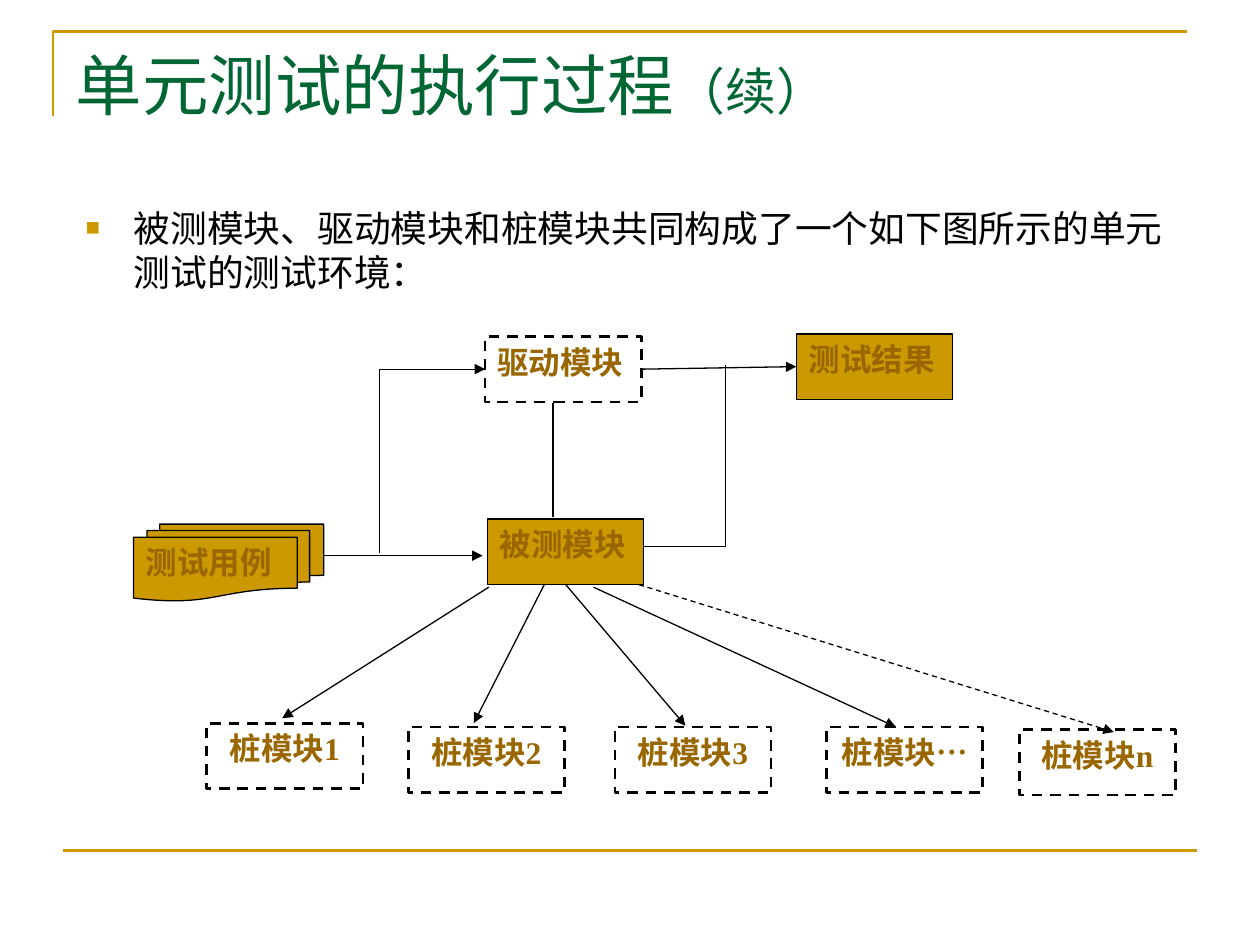
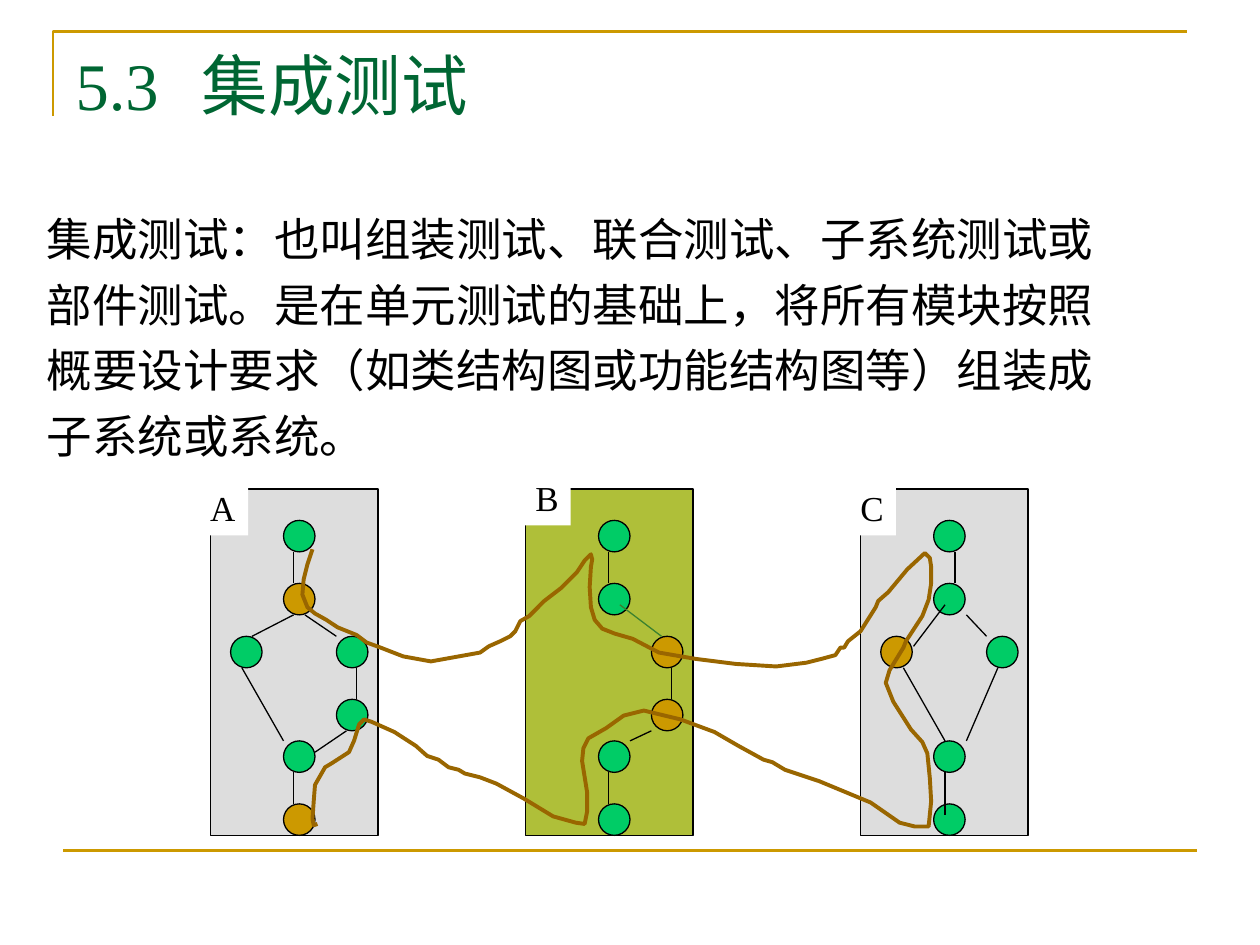
from lxml import etree
from pptx import Presentation
from pptx.dml.color import RGBColor
from pptx.enum.dml import MSO_LINE
from pptx.enum.shapes import MSO_CONNECTOR, MSO_SHAPE
from pptx.enum.text import MSO_ANCHOR, MSO_AUTO_SIZE, PP_ALIGN
from pptx.oxml.ns import qn
from pptx.util import Pt

PX = 9144
DASH = MSO_LINE.DASH
RECT, OVAL = MSO_SHAPE.RECTANGLE, MSO_SHAPE.OVAL
STACK = MSO_SHAPE.FLOWCHART_MULTIDOCUMENT
STRAIGHT = MSO_CONNECTOR.STRAIGHT
TOP, NOFIT = MSO_ANCHOR.TOP, MSO_AUTO_SIZE.NONE
LEFT, MID, JUST = PP_ALIGN.LEFT, PP_ALIGN.CENTER, PP_ALIGN.JUSTIFY
SERIF, SANS = "Times New Roman", "Arial"
COLORS = {"gold": "CC9900", "title": "006633", "black": "000000",
          "brown": "996600", "white": "FFFFFF", "gray": "DDDDDD",
          "olive": "AFBF39", "green": "00CC66", "moss": "3B812F"}

TITLE_BOX = (50, 30, 900, 125)
CORNER = [(42, 92), (42, 25), (942, 25)]
FOOT = (50, 675, 950, 675)

UNIT = {
    "title": [("单元测试的执行过程", 38), ("（续）", 29)],
    "body": "被测模块、驱动模块和桩模块共同构成了一个如下图所示的单元测试的测试环境：",
    "box": (58, 158, 898, 108),
}
BOX_W, BOX_H = 124, 52
CASES = ("测试用例", 106, 416, 151, 61)
SOLID = [("被测模块", 387, 412), ("测试结果", 632, 265)]
DRIVER = ("驱动模块", 385, 267)
STUBS = [("桩模块1", 164, 574), ("桩模块2", 324, 577), ("桩模块3", 488, 577),
         ("桩模块…", 656, 577), ("桩模块n", 809, 579)]
ARROWS = [(257, 441, 383, 441), (509, 290, 633, 290), (301, 293, 386, 293),
          (388, 466, 224, 570), (432, 464, 376, 574), (450, 466, 544, 576),
          (471, 466, 711, 577)]
FAINT = (507, 464, 884, 581)
PLAIN = [(439, 410, 439, 320), (301, 439, 301, 293),
         (511, 434, 576, 434), (576, 434, 576, 290)]

JOINT = {
    "title": [("5.3\t集成测试", 38)],
    "body": "集成测试：也叫组装测试、联合测试、子系统测试或部件测试。是在单元测试的基础上，"
            "将所有模块按照概要设计要求（如类结构图或功能结构图等）组装成子系统或系统。",
    "box": (27, 154, 863, 236),
}
PANEL_Y, PANEL_W, PANEL_H, DOT = 388, 133, 275, 25
COLS = [16, 58, 100]
ROWS = [413, 463, 505, 555, 588, 638]
PANELS = [
    {"x": 167, "fill": "gray", "label": ("A", 157, 381, 40),
     "green": [(1, 0), (0, 2), (2, 2), (2, 3), (1, 4)],
     "gold": [(1, 1), (1, 5)],
     "edges": [(66, 438, 66, 463), (75, 488, 100, 505), (66, 488, 33, 505),
               (116, 530, 116, 555), (25, 530, 58, 588), (108, 580, 83, 597),
               (66, 613, 66, 638)]},
    {"x": 417, "fill": "olive", "label": ("B", 415, 373, 38),
     "green": [(1, 0), (1, 1), (1, 4), (1, 5)],
     "gold": [(2, 2), (2, 3)],
     "edges": [(66, 438, 66, 463), (75, 480, 108, 505, "moss"),
               (116, 530, 116, 555), (100, 580, 83, 588), (66, 613, 66, 638)]},
    {"x": 683, "fill": "gray", "label": ("C", 673, 381, 38),
     "green": [(1, 0), (1, 1), (2, 2), (1, 4), (1, 5)],
     "gold": [(0, 2)],
     "edges": [(75, 438, 75, 463), (84, 488, 100, 505), (67, 480, 42, 513),
               (109, 530, 84, 588), (34, 530, 67, 588), (67, 613, 67, 647)]},
]
TRACE = [
    (248, 436), (244, 448), (241, 460), (240, 472), (244, 482), (250, 487),
    (259, 492), (268, 498), (283, 504), (291, 510), (302, 514), (320, 521),
    (342, 525), (381, 518), (388, 513), (397, 509), (405, 505), (409, 501),
    (413, 493), (420, 489), (432, 477), (445, 467), (458, 454), (464, 445),
    (469, 440), (470, 444), (469, 450), (468, 466), (469, 482), (472, 492),
    (478, 499), (488, 503), (502, 507), (523, 518), (552, 523), (584, 527),
    (616, 529), (640, 526), (652, 523), (663, 520), (667, 514), (670, 514),
    (673, 509), (683, 501), (695, 482), (697, 477), (705, 470), (720, 452),
    (734, 439), (738, 443), (739, 450), (739, 463), (737, 476), (732, 489),
    (719, 509), (717, 514), (706, 532), (703, 542), (709, 557), (723, 579),
    (732, 589), (736, 598), (738, 618), (739, 636), (737, 656), (726, 656),
    (714, 653), (691, 637), (650, 620), (623, 611), (613, 605), (606, 603),
    (586, 592), (567, 581), (540, 571), (511, 564), (495, 568), (481, 578),
    (467, 586), (463, 594), (462, 604), (466, 629), (466, 644), (464, 654),
    (457, 653), (439, 648), (416, 634), (394, 622), (381, 617), (369, 614),
    (364, 611), (356, 609), (348, 603), (339, 600), (330, 592), (313, 581),
    (295, 573), (289, 571), (285, 575), (281, 588), (277, 597), (263, 606),
    (258, 609), (250, 623), (249, 636), (248, 650), (249, 655), (252, 654),
]


def px(*vals):
    return [v * PX for v in vals]


def tint(name):
    return RGBColor.from_string(COLORS[name])


def stroke(line, color, width, dash=None):
    line.color.rgb = tint(color)
    line.width = Pt(width)
    if dash:
        line.dash_style = dash


def write(shape, runs, font=SERIF, color="black", bold=False, align=LEFT,
          spacing=None, after=0, bullet=False, tab=None, wrap=True):
    frame = shape.text_frame
    frame.word_wrap = wrap
    frame.auto_size = NOFIT
    frame.vertical_anchor = TOP
    para = frame.paragraphs[0]
    para.alignment = align
    para.space_before, para.space_after = Pt(0), Pt(after)
    if spacing:
        para.line_spacing = spacing
    props = para._p.get_or_add_pPr()
    indent = 38 * PX if bullet else 0
    props.set("marL", str(indent))
    props.set("indent", str(-indent))
    if bullet:
        hue = etree.SubElement(props, qn("a:buClr"))
        etree.SubElement(hue, qn("a:srgbClr"), val=COLORS["gold"])
        etree.SubElement(props, qn("a:buSzPct"), val="65000")
        etree.SubElement(props, qn("a:buFont"), typeface=SANS)
        etree.SubElement(props, qn("a:buChar"), char="■")
    else:
        etree.SubElement(props, qn("a:buNone"))
    if tab:
        stops = etree.SubElement(props, qn("a:tabLst"))
        etree.SubElement(stops, qn("a:tab"), pos=str(tab * PX), algn="l")
    for text, size in runs:
        run = para.add_run()
        run.text = text
        run.font.name, run.font.size, run.font.bold = font, Pt(size), bold
        run.font.color.rgb = tint(color)


def shape(slide, kind, box, fill=None, line="black", width=0.75, dash=None):
    item = slide.shapes.add_shape(kind, *px(*box))
    item.shadow.inherit = False
    if fill:
        item.fill.solid()
        item.fill.fore_color.rgb = tint(fill)
    else:
        item.fill.background()
    if line:
        stroke(item.line, line, width, dash)
    else:
        item.line.fill.background()
    return item


def sides(box):
    x, y, w, h = box.left, box.top, box.width, box.height
    return [(x + w // 2, y), (x, y + h // 2), (x + w // 2, y + h), (x + w, y + h // 2)]


def link(slide, ends, color="black", width=0.75, dash=None, arrow=False, boxes=()):
    ends = px(*ends)
    item = slide.shapes.add_connector(STRAIGHT, *ends)
    stroke(item.line, color, width, dash)
    props = item.element.spPr
    if arrow:
        etree.SubElement(props.find(qn("a:ln")), qn("a:tailEnd"), type="triangle")
    etree.SubElement(props, qn("a:effectLst"))
    for box in boxes:
        for site, (x, y) in enumerate(sides(box)):
            for join, (a, b) in ((item.begin_connect, ends[:2]), (item.end_connect, ends[2:])):
                if max(abs(a - x), abs(b - y)) <= 3 * PX:
                    join(box, site)
    return item


def outline(slide, points, color, width):
    pen = slide.shapes.build_freeform(*points[0], scale=PX)
    pen.add_line_segments(points[1:], close=False)
    item = pen.convert_to_shape()
    item.shadow.inherit = False
    item.fill.background()
    stroke(item.line, color, width)
    return item


def place(item, box):
    item.left, item.top, item.width, item.height = px(*box)


def start(deck, data, tab=None, **form):
    slide = deck.slides.add_slide(deck.slide_layouts[1])
    title, body = slide.placeholders[0], slide.placeholders[1]
    place(title, TITLE_BOX)
    write(title, data["title"], color="title", tab=tab)
    place(body, data["box"])
    size = form.pop("size")
    write(body, [(data["body"], size)], font=SANS, **form)
    return slide


def frame(deck, slide):
    tree = deck.slide_master.shapes.element
    tree.append(outline(slide, CORNER, "gold", 1.5).element)
    tree.append(link(slide, FOOT, "gold", 1.5).element)


def block(slide, text, box, kind=RECT, align=JUST, **form):
    item = shape(slide, kind, box, **form)
    write(item, [(text, 18)], color="brown", bold=True, align=align)
    return item


def draw_unit(slide):
    text, *box = CASES
    block(slide, text, box, STACK, fill="gold")
    size = (BOX_W, BOX_H)
    boxes = [block(slide, t, (x, y, *size), fill="gold") for t, x, y in SOLID]
    dashed = {"width": 1.5, "dash": DASH}
    text, *spot = DRIVER
    boxes.append(block(slide, text, (*spot, *size), **dashed))
    for text, *spot in STUBS:
        boxes.append(block(slide, text, (*spot, *size), align=MID, **dashed))
    for ends in ARROWS:
        link(slide, ends, arrow=True, boxes=boxes)
    link(slide, FAINT, dash=DASH, arrow=True)
    for ends in PLAIN:
        link(slide, ends)


def draw_joint(slide):
    for panel in PANELS:
        left = panel["x"]
        shape(slide, RECT, (left, PANEL_Y, PANEL_W, PANEL_H), panel["fill"])
        for color in ("green", "gold"):
            for col, row in panel[color]:
                shape(slide, OVAL, (left + COLS[col], ROWS[row], DOT, DOT), color)
        for x1, y1, x2, y2, *color in panel["edges"]:
            link(slide, (left + x1, y1, left + x2, y2), *color)
    outline(slide, TRACE, "brown", 2.25)
    for panel in PANELS:
        text, x, y, wide = panel["label"]
        tag = shape(slide, RECT, (x, y, wide, 44), "white", line=None)
        write(tag, [(text, 20)], wrap=False)


def main():
    deck = Presentation()
    deck.slide_width, deck.slide_height = px(1000, 750)
    unit = start(deck, UNIT, size=21, bullet=True)
    frame(deck, unit)
    draw_unit(unit)
    joint = start(deck, JOINT, tab=104, size=26, spacing=1.2, after=9.8)
    draw_joint(joint)
    deck.save("out.pptx")


if __name__ == "__main__":
    main()
